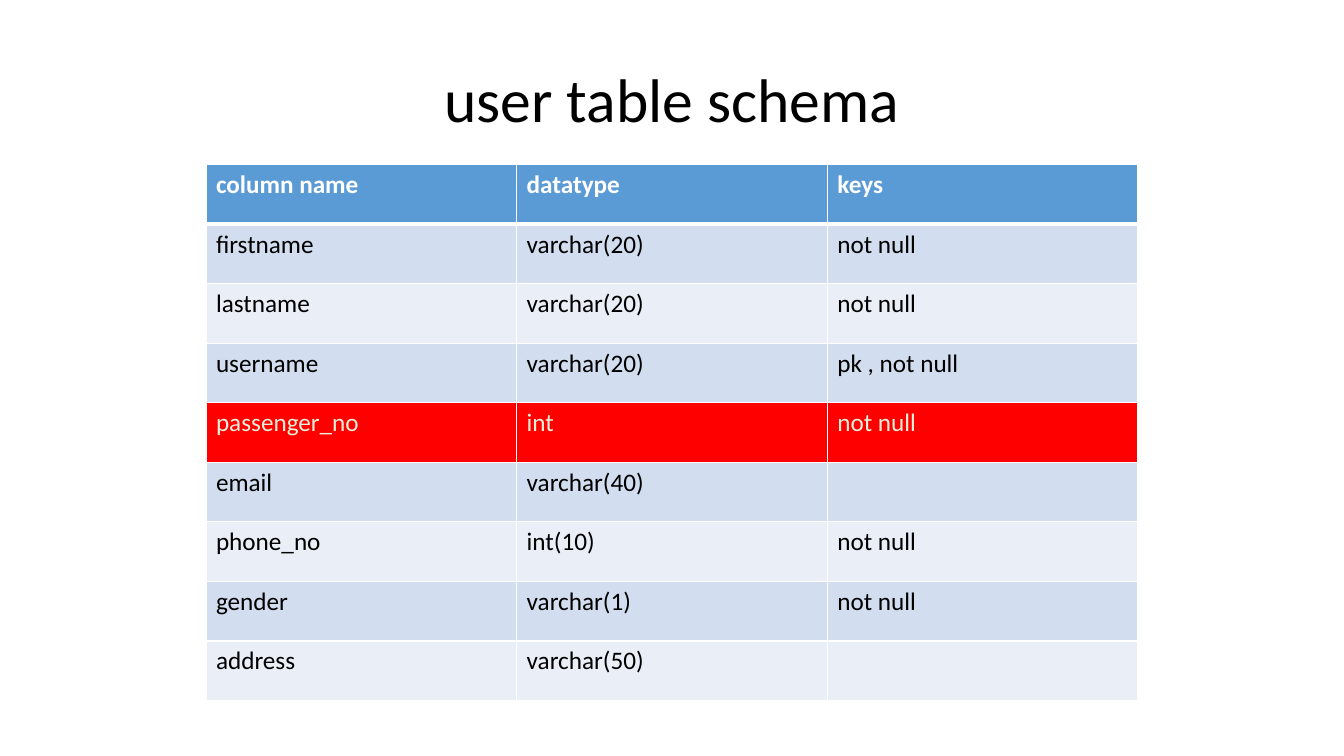
from lxml.etree import SubElement
from pptx import Presentation
from pptx.dml.color import RGBColor
from pptx.enum.text import MSO_ANCHOR, PP_ALIGN
from pptx.oxml import parse_xml
from pptx.oxml.ns import nsdecls, qn
from pptx.util import Cm, Pt

# Content
TITLE = "user table schema"
ROWS = [
    ("column name", "datatype", "keys"),
    ("firstname", "varchar(20)", "not null"),
    ("lastname", "varchar(20)", "not null"),
    ("username", "varchar(20)", "pk , not null"),
    ("passenger_no", "int", "not null"),
    ("email", "varchar(40)", ""),
    ("phone_no", "int(10)", "not null"),
    ("gender", "varchar(1)", "not null"),
    ("address", "varchar(50)", ""),
]
HIGHLIGHTED = "passenger_no"

# Style
FONT = "Calibri"
WHITE, BLACK = "FFFFFF", "000000"
HEADER_COLORS = ("5B9BD5", WHITE)
HIGHLIGHT_COLORS = ("FF0000", "E2F0D9")
BAND_FILLS = ("EAEFF7", "D2DEEF")
COLUMN_WIDTH, ROW_HEIGHT = Cm(7.83), Cm(1.5)


def color(hex_text):
    return RGBColor.from_string(hex_text)


def style_paragraph(paragraph, size, font_color, bold=False):
    font = paragraph.font
    font.name, font.size, font.bold = FONT, Pt(size), bold
    font.color.rgb = color(font_color)


def row_colors(row_index, name):
    """Return the fill and font colour of a row."""
    if row_index == 0:
        return HEADER_COLORS
    if name == HIGHLIGHTED:
        return HIGHLIGHT_COLORS
    return BAND_FILLS[row_index % 2], BLACK


def add_borders(cell, row_index):
    """Draw white cell borders, thicker between header and body."""
    widths = {"lnL": 1, "lnR": 1,
              "lnT": 3 if row_index == 1 else 1,
              "lnB": 3 if row_index == 0 else 1}
    properties = cell._tc.get_or_add_tcPr()
    for position, (side, width) in enumerate(widths.items()):
        line = parse_xml(f'<a:{side} {nsdecls("a")} w="{Pt(width)}"/>')
        fill = SubElement(line, qn("a:solidFill"))
        SubElement(fill, qn("a:srgbClr"), val=WHITE)
        properties.insert(position, line)


presentation = Presentation()
presentation.slide_width, presentation.slide_height = Cm(33.87), Cm(19.05)
slide = presentation.slides.add_slide(presentation.slide_layouts[6])

# Title
title = slide.shapes.add_textbox(Cm(2.33), Cm(1.01), Cm(29.21), Cm(3.13))
title.text_frame.word_wrap = True
title.text_frame.vertical_anchor = MSO_ANCHOR.MIDDLE
paragraph = title.text_frame.paragraphs[0]
paragraph.text = TITLE
paragraph.alignment = PP_ALIGN.CENTER
paragraph.line_spacing = 0.9
style_paragraph(paragraph, 44, BLACK)

# Schema table
column_count = len(ROWS[0])
table = slide.shapes.add_table(
    len(ROWS), column_count, Cm(5.19), Cm(4.15),
    COLUMN_WIDTH * column_count, ROW_HEIGHT * len(ROWS)).table
for column in table.columns:
    column.width = COLUMN_WIDTH
for row_index, values in enumerate(ROWS):
    table.rows[row_index].height = ROW_HEIGHT
    fill_color, font_color = row_colors(row_index, values[0])
    for column_index, value in enumerate(values):
        cell = table.cell(row_index, column_index)
        cell.text = value
        cell.fill.solid()
        cell.fill.fore_color.rgb = color(fill_color)
        style_paragraph(cell.text_frame.paragraphs[0], 18, font_color,
                        bold=row_index == 0)
        add_borders(cell, row_index)

presentation.save("out.pptx")
